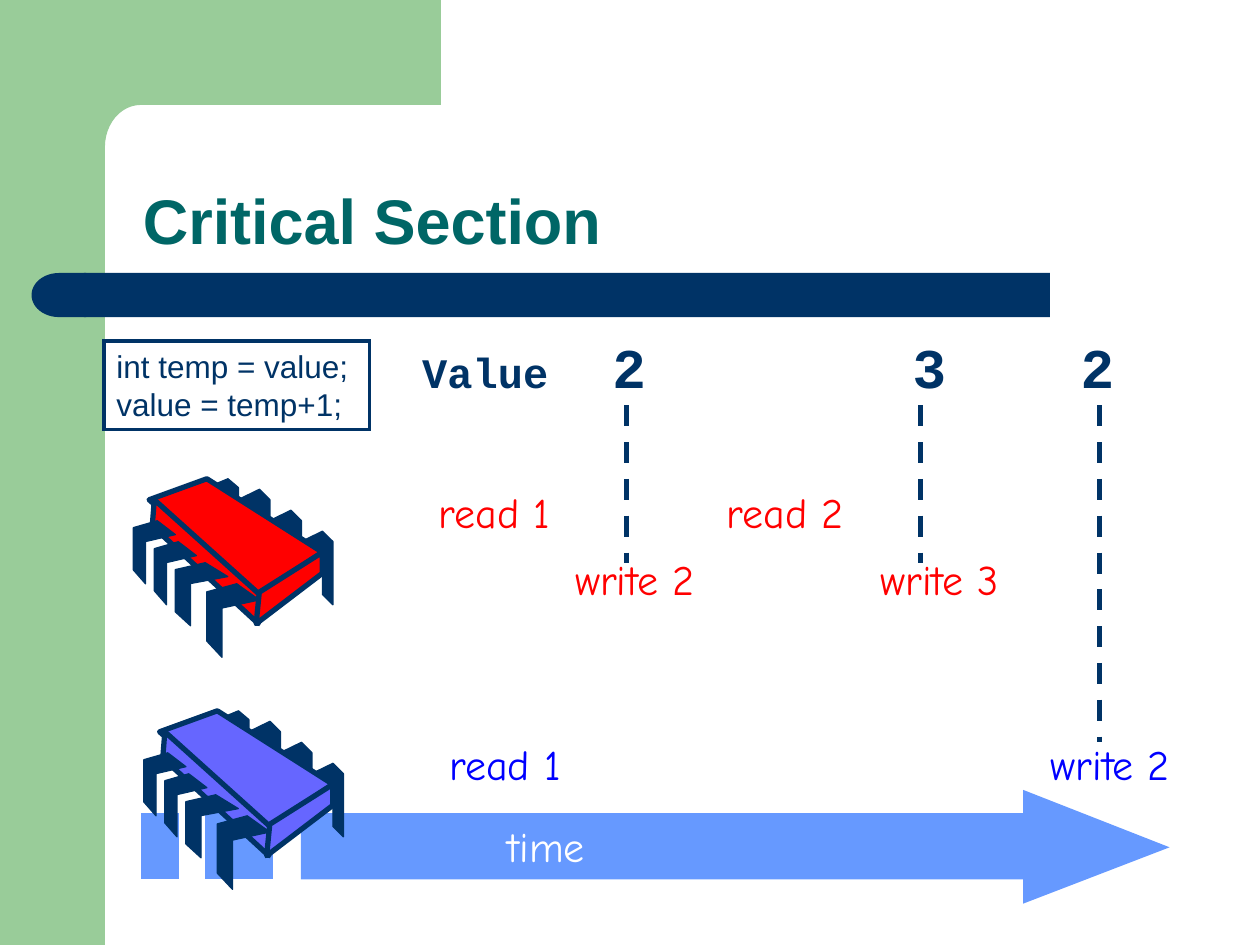
from dataclasses import dataclass
from math import cos, pi, sin

from lxml.etree import SubElement
from pptx import Presentation
from pptx.dml.color import RGBColor
from pptx.enum.dml import MSO_LINE
from pptx.enum.shapes import MSO_CONNECTOR, MSO_SHAPE
from pptx.enum.text import MSO_ANCHOR, MSO_AUTO_SIZE, PP_ALIGN
from pptx.oxml.ns import qn
from pptx.util import Emu, Inches, Pt

GREEN = RGBColor(0x99, 0xCC, 0x99)
NAVY = RGBColor(0x00, 0x33, 0x66)
TEAL = RGBColor(0x00, 0x66, 0x66)
SKY = RGBColor(0x66, 0x99, 0xFF)
VIOLET = RGBColor(0x66, 0x66, 0xFF)
RED = RGBColor(0xFF, 0x00, 0x00)
BLUE = RGBColor(0x00, 0x00, 0xFF)
WHITE = RGBColor(0xFF, 0xFF, 0xFF)

COLS, ROWS = 120, 90  # square cells, twelve to the inch
CELL = Inches(10) / COLS

Point = tuple[float, float]


@dataclass(frozen=True)
class Label:
    """Right-aligned text, placed by the right edge of its box."""
    text: str
    right: float
    row: float
    color: RGBColor


@dataclass(frozen=True)
class Update:
    """A new value, with the dashed line down to the write that caused it."""
    value: str
    right: float
    line_col: float
    end_row: float


@dataclass(frozen=True)
class Chip:
    col: float
    row: float
    color: RGBColor


LABEL_COLS, VALUE_COLS = 18, 8
READ_ROW, WRITE_ROW, BLUE_ROW, TIME_ROW = 45.7, 52.1, 69.7, 77.6
LABELS = [
    Label("read 1", 53.6, READ_ROW, RED),
    Label("read 1", 54.6, BLUE_ROW, BLUE),
    Label("write 2", 67.3, WRITE_ROW, RED),
    Label("read 2", 81.5, READ_ROW, RED),
    Label("write 3", 96.3, WRITE_ROW, RED),
    Label("write 2", 112.6, BLUE_ROW, BLUE),
    Label("time", 56.9, TIME_ROW, WHITE),
]
UPDATES = [
    Update("2", 62.7, 59.7, 53.6),
    Update("3", 91.3, 87.7, 53.6),
    Update("2", 107.3, 104.7, 70.7),
]
CHIPS = [Chip(12.7, 45.6, RED), Chip(13.7, 67.7, VIOLET)]

# Pin outlines as shares of the pin's width and height
BACK_PIN = [(0, .14), (.67, 0), (1, .14), (1, 1), (.67, .86), (.67, .29), (0, .43)]
FRONT_PIN = [(.57, 0), (1, .22), (.29, .33), (.29, 1), (0, .78), (0, .11)]
# Column, row, columns, rows from the chip's corner
BACK_PINS = [(16, 5, 3, 7), (13, 3, 3, 7), (10, 1, 3, 7), (7, 0, 3, 6)]
FRONT_PINS = [(7, 10, 5, 7), (4, 8, 5, 6), (2, 6, 4, 6), (0, 4, 4, 6)]
FACES = [
    [(7, 0), (18, 7), (11.9, 11.1), (1.5, 2)],
    [(2, 2), (12, 11), (11.9, 13.8), (1.8, 4.5)],
    [(18, 7), (18, 9), (11.7, 13.8), (12, 10.8)],
]


def cells(n: float) -> Emu:
    return Emu(round(n * CELL))


def style(sp, fill: RGBColor | None, line: RGBColor | None = None, width: float = 0,
          sharp: bool = False) -> None:
    """Set fill and line; sharp gives the line mitred corners."""
    sp.shadow.inherit = False
    if fill is None:
        sp.fill.background()
    else:
        sp.fill.solid()
        sp.fill.fore_color.rgb = fill
    if line is None:
        sp.line.fill.background()
    else:
        sp.line.color.rgb = line
        sp.line.width = Pt(width)
    if sharp:
        SubElement(sp._element.spPr.find(qn("a:ln")), qn("a:miter"), lim="800000")


def add_preset(shapes, kind, col: float, row: float, cols: float, rows: float,
               fill: RGBColor | None, **line):
    sp = shapes.add_shape(kind, *map(cells, (col, row, cols, rows)))
    style(sp, fill, **line)
    return sp


def add_outline(shapes, contours: list[list[Point]], fill: RGBColor, **line) -> None:
    first, *rest = [[(cells(x), cells(y)) for x, y in c] for c in contours]
    fb = shapes.build_freeform(*first[0])
    fb.add_line_segments(first[1:])
    for contour in rest:
        fb.move_to(*contour[0])
        fb.add_line_segments(contour[1:])
    style(fb.convert_to_shape(), fill, **line)


def write(sp, text: str, *, font: str, size: float, color: RGBColor, bold: bool = False,
          align=PP_ALIGN.LEFT, anchor=MSO_ANCHOR.TOP, spacing: float = 1.0) -> None:
    tf = sp.text_frame
    tf.word_wrap = True
    tf.auto_size = MSO_AUTO_SIZE.NONE
    tf.vertical_anchor = anchor
    tf.text = text
    for p in tf.paragraphs:
        p.alignment = align
        p.line_spacing = spacing
        for r in p.runs:
            r.font.name, r.font.size, r.font.bold = font, Pt(size), bold
            r.font.color.rgb = color


def add_text(shapes, text: str, col: float, row: float, cols: float, rows: float, **fmt):
    sp = shapes.add_textbox(*map(cells, (col, row, cols, rows)))
    write(sp, text, **fmt)
    return sp


def add_dashed_line(shapes, col: float, top: float, bottom: float) -> None:
    ln = shapes.add_connector(MSO_CONNECTOR.STRAIGHT, *map(cells, (col, top, col, bottom)))
    ln.line.color.rgb = NAVY
    ln.line.width = Pt(3)
    ln.line.dash_style = MSO_LINE.DASH
    SubElement(ln._element.spPr, qn("a:effectLst"))


def add_chip(shapes, chip: Chip) -> None:
    group = shapes.add_group_shape().shapes

    def add_pins(pins, outline: list[Point]) -> None:
        for col, row, w, h in pins:
            points = [(chip.col + col + x * w, chip.row + row + y * h) for x, y in outline]
            add_outline(group, [points], NAVY, line=NAVY, width=.75)

    add_pins(BACK_PINS, BACK_PIN)
    for face in FACES:
        points = [(chip.col + x, chip.row + y) for x, y in face]
        add_outline(group, [points], chip.color, line=NAVY, width=3)
    add_pins(FRONT_PINS, FRONT_PIN)


def add_frame(shapes) -> None:
    """Green side and corner, and the navy bar below the title."""
    add_preset(shapes, MSO_SHAPE.RECTANGLE, 0, 0, 10, ROWS, GREEN)
    arc = [(13.4 - 3.4 * sin(a), 14 - 4 * cos(a)) for a in (pi / 2 * i / 12 for i in range(13))]
    add_outline(shapes, [[(42, 0), (42, 10), *arc, (10, 15.4), (6, 15.4), (6, 0)]], GREEN)
    add_preset(shapes, MSO_SHAPE.RECTANGLE, 8, 26, 92, 4.2, NAVY)
    add_preset(shapes, MSO_SHAPE.FLOWCHART_DELAY, 3, 26, 5.2, 4.2, NAVY).rotation = 180


def add_time_arrow(shapes) -> None:
    top, bottom, neck = 77.7, 83.5, 97.7
    arrow = [(neck, 75.6), (neck, top), (28.9, top), (28.9, bottom), (neck, bottom),
             (neck, 85.7), (110.7, 80.7)]
    stripes = [[(a, top), (a, bottom), (b, bottom), (b, top)]
               for a, b in ((19.8, 25.8), (13.7, 16.8))]
    add_outline(shapes, [arrow, *stripes], SKY, line=SKY, width=3, sharp=True)


def main() -> None:
    prs = Presentation()
    prs.slide_width, prs.slide_height = cells(COLS), cells(ROWS)
    shapes = prs.slides.add_slide(prs.slide_layouts[6]).shapes

    add_frame(shapes)
    title = add_text(shapes, "Critical Section", 11.2, 12.1, 102, 13.1, font="Arial", size=36,
                     color=TEAL, bold=True, anchor=MSO_ANCHOR.BOTTOM, spacing=.9)
    title.text_frame.margin_left = Inches(.2)
    add_time_arrow(shapes)
    for chip in CHIPS:
        add_chip(shapes, chip)

    mono = dict(font="Courier New", color=NAVY, bold=True, align=PP_ALIGN.RIGHT)
    add_text(shapes, "Value", 36.4, 32.4, 17, 6, size=24, **mono)
    for u in UPDATES:
        add_text(shapes, u.value, u.right - VALUE_COLS, 31.1, VALUE_COLS, 7.7, size=32, **mono)
        add_dashed_line(shapes, u.line_col, 38.6, u.end_row)
    for lb in LABELS:
        add_text(shapes, lb.text, lb.right - LABEL_COLS, lb.row, LABEL_COLS, 6,
                 font="Comic Neue", size=24, color=lb.color, align=PP_ALIGN.RIGHT)

    code = add_preset(shapes, MSO_SHAPE.RECTANGLE, 9.9, 32.5, 25.3, 8.4, None,
                      line=NAVY, width=2, sharp=True)
    write(code, "int temp = value;\nvalue = temp+1;", font="Arial", size=18, color=NAVY)
    prs.save("out.pptx")


if __name__ == "__main__":
    main()
